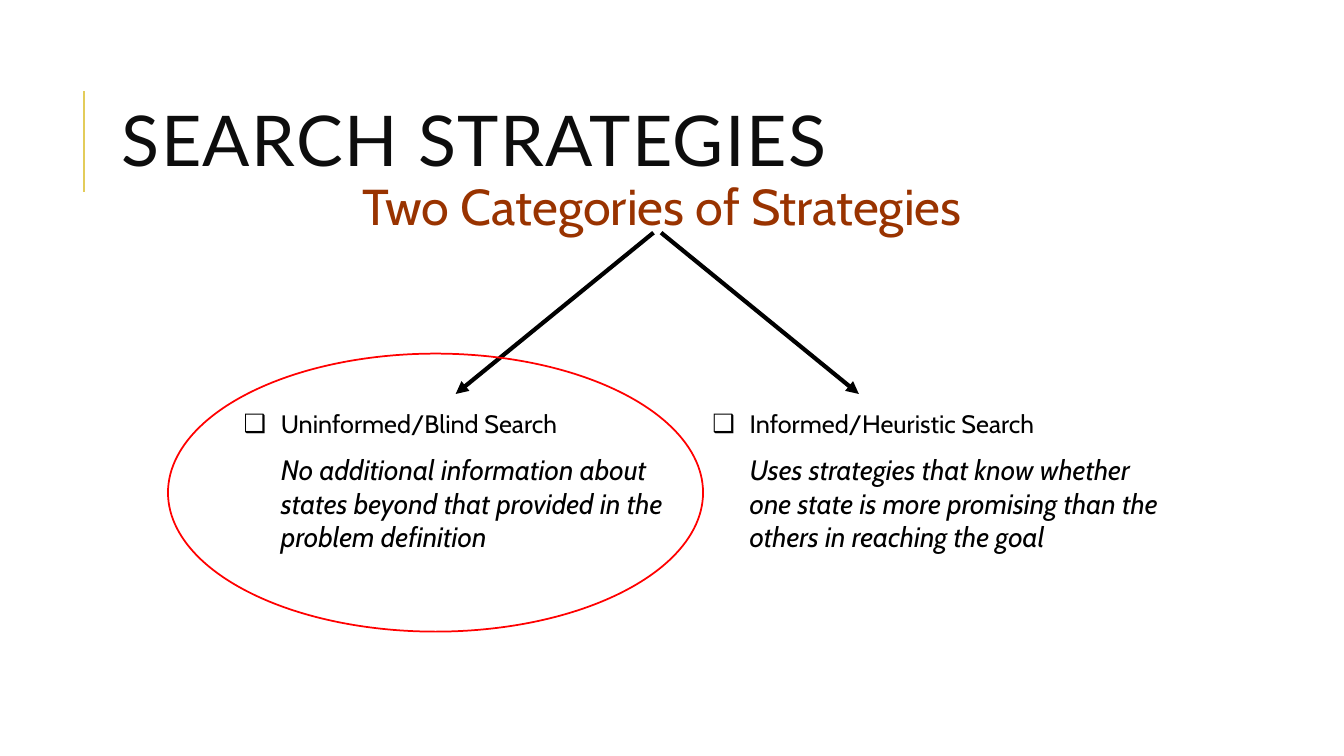
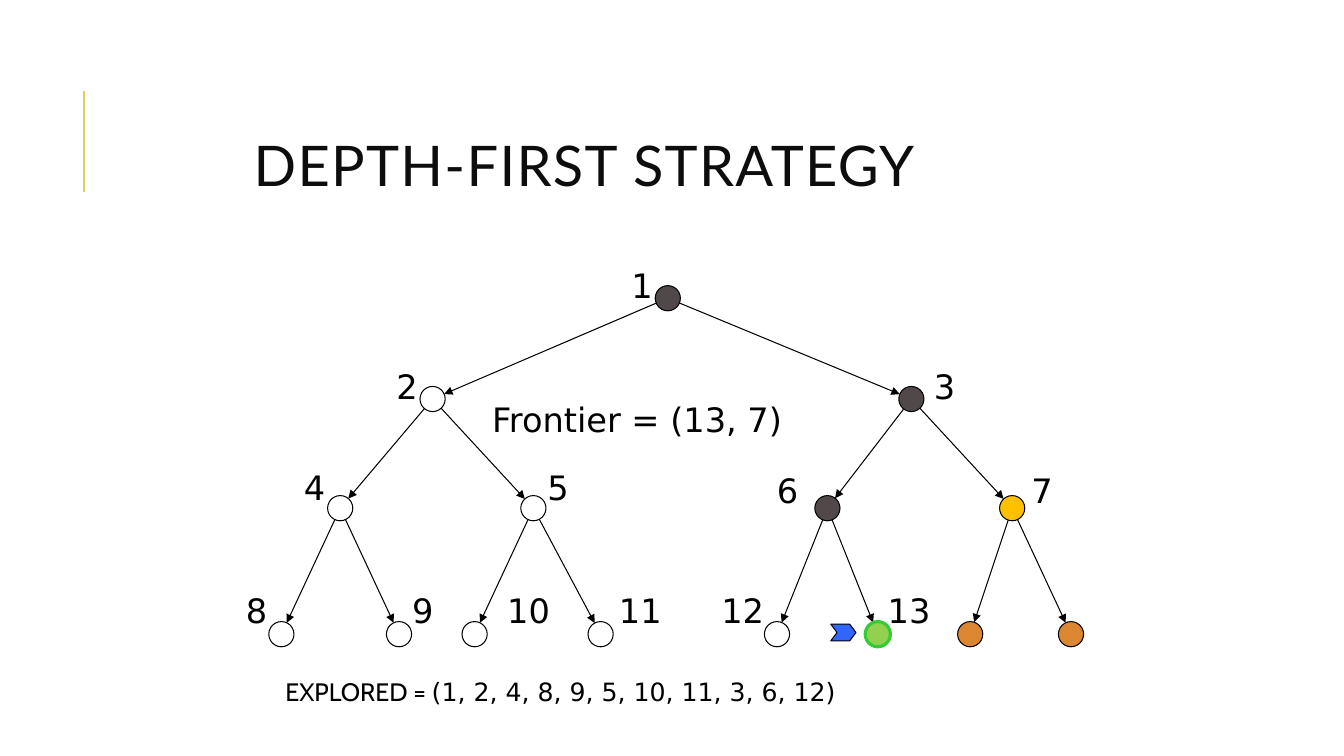
import math

import lxml.etree
import pptx
import pptx.dml.color
import pptx.enum.shapes
import pptx.enum.text
import pptx.oxml.ns
import pptx.util

COLS, ROWS = 160, 90
CELL = pptx.util.Inches(1) // 12
TITLE_FONT, BODY_FONT, LABEL_FONT = "Lato", "Cabin", "DejaVu Sans"
BLACK, WHITE, TITLE_INK, GOLD = "000000", "FFFFFF", "0D0D0D", "E3CC5A"
EXPLORED, FRONTIER, UNSEEN, CURRENT = "514949", "FFC000", "DB8631", "92D050"

ALIGN = pptx.enum.text.PP_ALIGN
AUTO = pptx.enum.text.MSO_AUTO_SIZE
SHAPE = pptx.enum.shapes.MSO_SHAPE


def rgb(value):
    return pptx.dml.color.RGBColor.from_string(value)


def cells(*values):
    """Turn grid columns or rows into slide lengths."""
    return [pptx.util.Emu(round(v * CELL)) for v in values]


def sub(parent, tag, **attrs):
    return lxml.etree.SubElement(parent, pptx.oxml.ns.qn(tag), **attrs)


def add_text(p, text, size=18, font=BODY_FONT, color=BLACK, italic=False, spacing=None):
    r = p.add_run()
    r.text = text
    r.font.size = pptx.util.Pt(size)
    r.font.name = font
    r.font.italic = italic
    r.font.color.rgb = rgb(color)
    if spacing:
        r.font._element.set("spc", str(spacing * 100))


class Deck:
    """Shared style and the slide being filled."""

    def __init__(self):
        self.prs = pptx.Presentation()
        self.prs.slide_width, self.prs.slide_height = cells(COLS, ROWS)
        self.slide = None

    def new_slide(self, layout, title, box, size):
        self.slide = self.prs.slides.add_slide(self.prs.slide_layouts[layout])
        self.line((10, 22.8), (10, 10.8), GOLD, 1.5)
        tf = self.place(self.slide.shapes.title, box)
        tf.vertical_anchor = pptx.enum.text.MSO_ANCHOR.MIDDLE
        p = tf.paragraphs[0]
        p.alignment, p.line_spacing = ALIGN.LEFT, 0.8
        add_text(p, title, size=size, font=TITLE_FONT, color=TITLE_INK, spacing=1)

    def place(self, sp, box):
        sp.left, sp.top, sp.width, sp.height = cells(*box)
        sp.text_frame.word_wrap = True
        sp.text_frame.auto_size = AUTO.NONE
        return sp.text_frame

    def bullet(self, idx, box, heading, detail):
        tf = self.place(self.slide.placeholders[idx], box)
        items = ((heading, 18, False, 0, "❑"), (detail, 20, True, 10, None))
        for i, (text, size, italic, before, mark) in enumerate(items):
            p = tf.add_paragraph() if i else tf.paragraphs[0]
            p.space_before = pptx.util.Pt(before)
            add_text(p, text, size=size, italic=italic)
            ppr = p._p.get_or_add_pPr()
            indent = pptx.util.Inches(0.37)
            ppr.set("marL", str(indent))
            ppr.set("indent", str(-indent if mark else 0))
            if mark:
                sub(ppr, "a:buChar", char=mark)
            else:
                sub(ppr, "a:buNone")

    def label(self, box, *runs, align=ALIGN.LEFT):
        tf = self.slide.shapes.add_textbox(*cells(*box)).text_frame
        tf.word_wrap = False
        tf.auto_size = AUTO.SHAPE_TO_FIT_TEXT
        p = tf.paragraphs[0]
        p.alignment = align
        for text, style in runs:
            add_text(p, text, **style)

    def line(self, start, end, color=BLACK, width=0.75, arrow=False):
        cx = self.slide.shapes.add_connector(
            pptx.enum.shapes.MSO_CONNECTOR.STRAIGHT, *cells(*start, *end))
        cx.line.color.rgb = rgb(color)
        cx.line.width = pptx.util.Pt(width)
        if arrow:
            sub(cx.line._get_or_add_ln(), "a:tailEnd", type="triangle")
        sub(cx._element.spPr, "a:effectLst")

    def shape(self, kind, box, fill=None, line=BLACK, width=0.75):
        sp = self.slide.shapes.add_shape(kind, *cells(*box))
        sp.shadow.inherit = False
        if fill:
            sp.fill.solid()
            sp.fill.fore_color.rgb = rgb(fill)
        else:
            sp.fill.background()
        sp.line.color.rgb = rgb(line)
        sp.line.width = pptx.util.Pt(width)
        return sp


def strategies_slide(deck):
    deck.new_slide(3, "SEARCH STRATEGIES", (13.3, 7.6, 95.6, 19.7), 50)
    deck.label((39, 20.3, 79.6, 8.5),
               ("Two Categories of Strategies", dict(size=36, color="993300")),
               align=ALIGN.CENTER)
    # Arrows mirrored about the heading's middle
    middle = 78.25
    for side in (-1, 1):
        deck.line((middle + side * 0.45, 27.7), (middle + side * 24, 46.9),
                  width=3, arrow=True)
    # The two categories
    deck.bullet(1, (27.8, 48, 53.9, 23), "Uninformed/Blind Search",
                "No additional information about states beyond that provided "
                "in the problem definition")
    deck.bullet(2, (83.6, 48, 56.8, 23), "Informed/Heuristic Search",
                "Uses strategies that know whether one state is more promising "
                "than the others in reaching the goal")
    deck.shape(SHAPE.OVAL, (20, 42.1, 63.7, 33.1), line="FF0000", width=1.25)


def depth_first_slide(deck):
    deck.new_slide(5, "DEPTH-FIRST STRATEGY", (29, 12.8, 102, 15), 40)
    # Node n has children 2n and 2n + 1; its level gives its row
    size = 3
    level_rows = (34, 46, 59, 74)
    node_cols = (78, 50, 107, 39, 62, 97, 119, 32, 46, 55, 70, 91, 103, 114, 126)
    nodes = {n: (col, level_rows[n.bit_length() - 1])
             for n, col in enumerate(node_cols, 1)}
    fills = {1: EXPLORED, 3: EXPLORED, 6: EXPLORED, 7: FRONTIER,
             13: CURRENT, 14: UNSEEN, 15: UNSEEN}

    # Edges run from rim to rim
    for n in range(2, len(nodes) + 1):
        (x1, y1), (x2, y2) = [(x + size / 2, y + size / 2)
                              for x, y in (nodes[n // 2], nodes[n])]
        share = size / 2 / math.hypot(x2 - x1, y2 - y1)
        dx, dy = (x2 - x1) * share, (y2 - y1) * share
        deck.line((x1 + dx, y1 + dy), (x2 - dx, y2 - dy), arrow=True)
    for n, (x, y) in nodes.items():
        rim = dict(line="33CC33", width=2.25) if n == 13 else {}
        deck.shape(SHAPE.OVAL, (x, y, size, size), fills.get(n, WHITE), **rim)

    # Node numbers
    big = dict(size=24, font=LABEL_FONT)
    spots = ((74, 31), (46, 43), (110, 43), (35, 55), (64, 55), (91.3, 55.4),
             (121.6, 55.4), (28.1, 69.6), (47.9, 69.6), (59.2, 69.6),
             (72.5, 69.6), (84.7, 69.6), (104.5, 69.6))
    for n, spot in enumerate(spots, 1):
        deck.label((*spot, 5 if n < 10 else 7.6, 6.1), (str(n), big))

    # Search state and pointer to the current node
    deck.label((57.4, 46.9, 38.8, 6), ("Frontier = (13, 7)", big))
    deck.label((32.8, 79.9, 73.2, 4.8), ("EXPLORED = ", {}),
               ("(1, 2, 4, 8, 9, 5, 10, 11, 3, 6, 12)", dict(font=LABEL_FONT)))
    pointer = deck.shape(SHAPE.CHEVRON, (98.9, 74.3, 3, 2), "3366FF")
    pointer.adjustments[0] = 0.375


def main():
    deck = Deck()
    strategies_slide(deck)
    depth_first_slide(deck)
    deck.prs.save("out.pptx")


if __name__ == "__main__":
    main()
